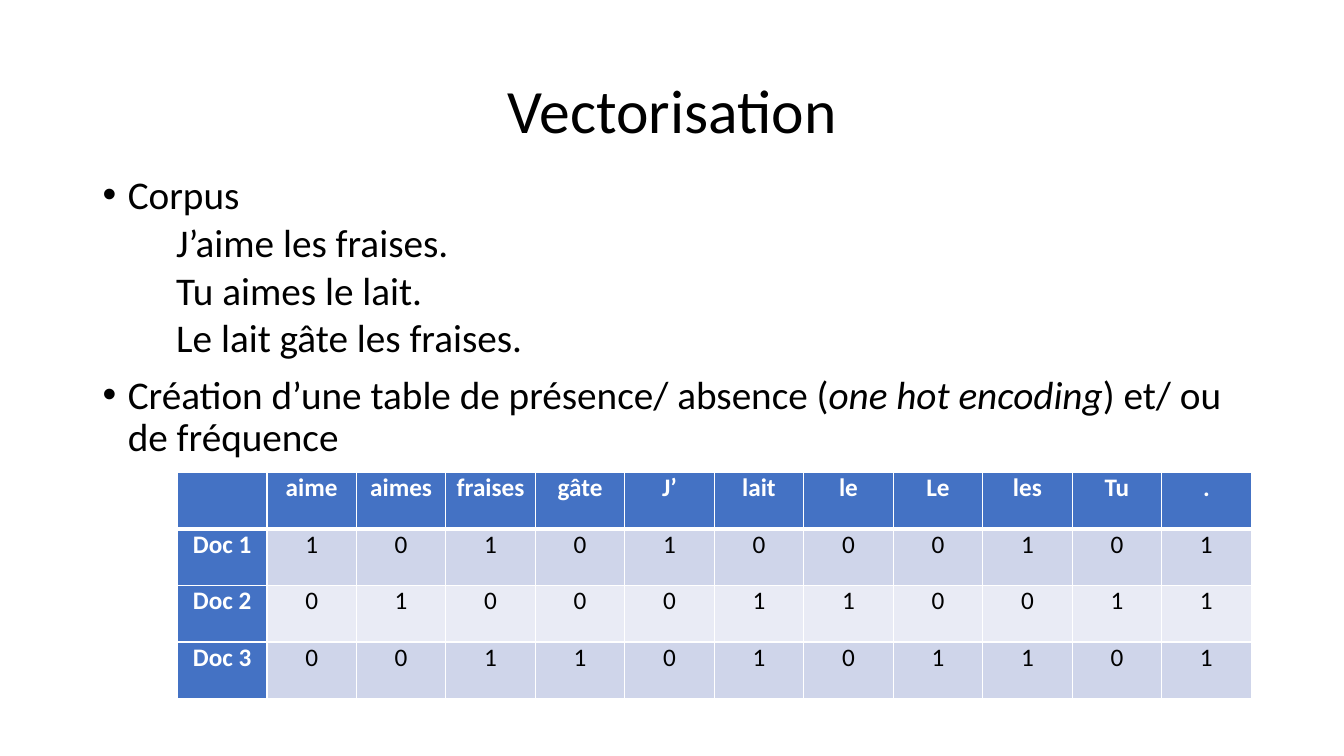
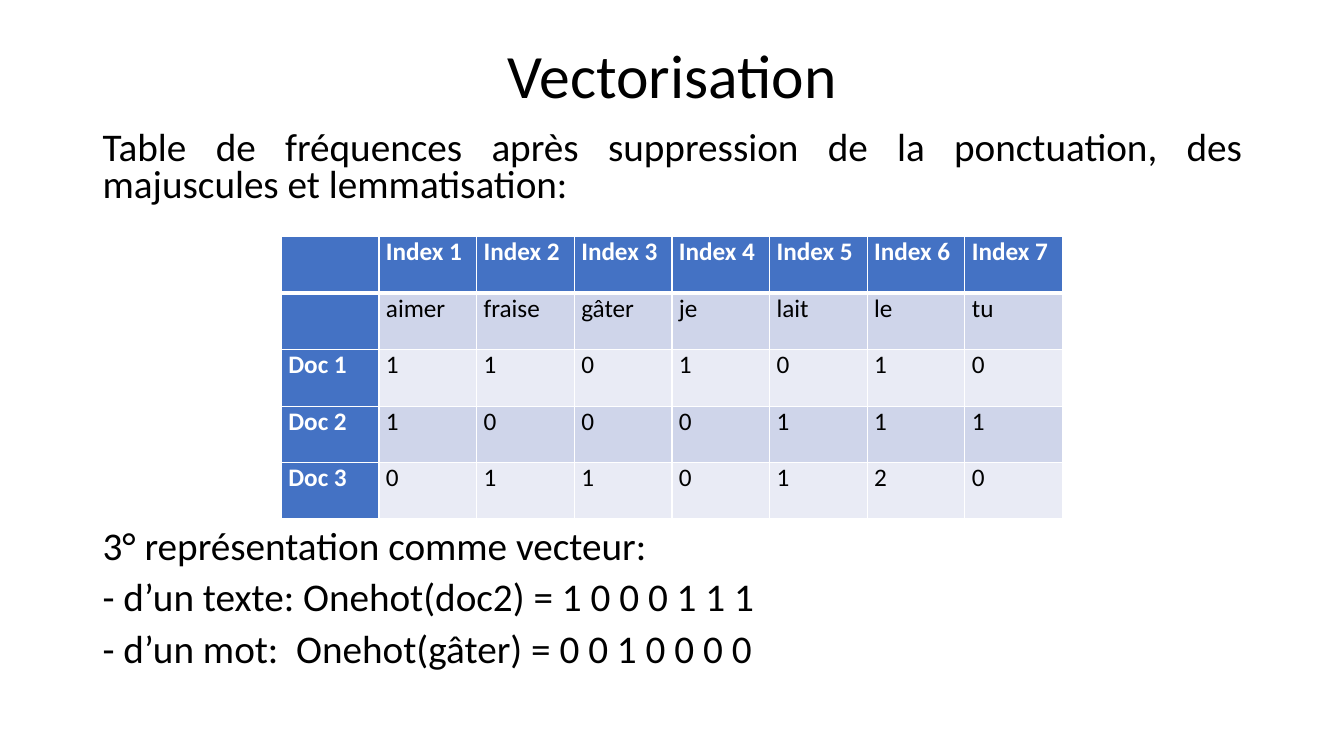
from lxml import etree
from pptx import Presentation
from pptx import util as u
from pptx.dml.color import RGBColor
from pptx.enum import text
from pptx.oxml.ns import qn

PX = 9144
BLUE, WHITE, BLACK = "4472C4", "FFFFFF", "000000"
BANDS = "CFD5EA", "E9EBF5"
CENTER, LEFT, JUSTIFY = text.PP_ALIGN.CENTER, text.PP_ALIGN.LEFT, text.PP_ALIGN.JUSTIFY


def px(n):
    return u.Emu(n * PX)


def color(value):
    return RGBColor.from_string(value)


def assign(obj, **values):
    for name, value in values.items():
        setattr(obj, name, value)


class Deck:
    font = "Calibri"
    title_size, body_size, cell_size = 44, 28, 18

    def __init__(self, width, height):
        self.prs = Presentation()
        assign(self.prs, slide_width=px(width), slide_height=px(height))

    def run(self, p, content, size, fill=BLACK, **values):
        r = p.add_run()
        r.text = content
        assign(r.font, name=self.font, size=u.Pt(size), **values)
        r.font.color.rgb = color(fill)

    def slide(self, title, y, h):
        self.s = self.prs.slides.add_slide(self.prs.slide_layouts[5])
        sp = self.s.shapes.title
        assign(sp, left=px(92), top=px(y), width=px(1150), height=px(h))
        tf = sp.text_frame
        assign(tf, word_wrap=True, auto_size=text.MSO_AUTO_SIZE.NONE,
               vertical_anchor=text.MSO_ANCHOR.MIDDLE)
        p = tf.paragraphs[0]
        assign(p, alignment=CENTER, line_spacing=0.9)
        self.run(p, title, self.title_size)

    def body(self, y, h):
        sp = self.s.shapes.add_textbox(px(92), px(y), px(1150), px(h))
        self.tf = sp.text_frame
        self.tf.word_wrap = True

    def para(self, *runs, spacing=0.9, before=10, align=LEFT, margin=0, bullet=False):
        p = self.tf.paragraphs[0]
        if p.runs:
            p = self.tf.add_paragraph()
        assign(p, alignment=align, line_spacing=spacing, space_before=u.Pt(before))
        pPr = p._p.get_or_add_pPr()
        pPr.set("marL", str(px(margin)))
        pPr.set("indent", str(px(-margin if bullet else 0)))
        if bullet:
            etree.SubElement(pPr, qn("a:buFont"), typeface="Arial")
            etree.SubElement(pPr, qn("a:buChar"), char="•")
        for i, content in enumerate(runs):
            self.run(p, content, self.body_size, italic=i % 2 == 1)

    def borders(self, cell, **widths):
        tcPr = cell._tc.get_or_add_tcPr()
        for side in "LRTB":
            ln = etree.SubElement(tcPr, qn("a:ln" + side), w=str(u.Pt(widths.get(side, 1))))
            fill = etree.SubElement(ln, qn("a:solidFill"))
            etree.SubElement(fill, qn("a:srgbClr"), val=WHITE)

    def table(self, x, y, w, row_h, lines, align):
        rows = [line.split("|") for line in lines]
        n = len(rows[0])
        table = self.s.shapes.add_table(len(rows), n, px(x), px(y), px(w),
                                        px(row_h * len(rows))).table
        table.horz_banding = False
        for col in table.columns:
            col.width = px(w) // n
        for i, row in enumerate(rows):
            table.rows[i].height = px(row_h)
            for j, content in enumerate(row):
                cell = table.cell(i, j)
                head = i == 0 or j == 0
                self.borders(cell, **{0: {"B": 3}, 1: {"T": 3}}.get(i, {}))
                cell.fill.solid()
                cell.fill.fore_color.rgb = color(BLUE if head else BANDS[(i - 1) % 2])
                assign(cell, margin_left=px(7), margin_right=px(7),
                       margin_top=0, margin_bottom=0)
                if content:
                    p = cell.text_frame.paragraphs[0]
                    p.alignment = align
                    self.run(p, content, self.cell_size, WHITE if head else BLACK, bold=head)


def main():
    deck = Deck(1333, 750)

    deck.slide("Vectorisation", 40, 145)
    deck.body(169, 300)
    deck.para("Corpus", margin=25, bullet=True)
    for sentence in ("J’aime les fraises.", "Tu aimes le lait.", "Le lait gâte les fraises."):
        deck.para(sentence, before=4, margin=73)
    deck.para("Création d’une table de présence/ absence (", "one hot encoding",
              ") et/ ou de fréquence", margin=25, bullet=True)
    deck.table(176, 469, 1065, 56, (
        "|aime|aimes|fraises|gâte|J’|lait|le|Le|les|Tu|.",
        "Doc 1|1|0|1|0|1|0|0|0|1|0|1",
        "Doc 2|0|1|0|0|0|1|1|0|0|1|1",
        "Doc 3|0|0|1|1|0|1|0|1|1|0|1"), CENTER)

    deck.slide("Vectorisation", 30, 95)
    deck.body(125, 100)
    deck.para("Table de fréquences après suppression de la ponctuation, "
              "des majuscules et lemmatisation:", spacing=0.8, align=JUSTIFY)
    deck.table(279, 235, 775, 56, (
        "|Index 1|Index 2|Index 3|Index 4|Index 5|Index 6|Index 7",
        "|aimer|fraise|gâter|je|lait|le|tu",
        "Doc 1|1|1|0|1|0|1|0",
        "Doc 2|1|0|0|0|1|1|1",
        "Doc 3|0|1|1|0|1|2|0"), LEFT)
    deck.body(521, 189)
    for line in ("3° représentation comme vecteur:",
                 "- d’un texte: Onehot(doc2) = 1 0 0 0 1 1 1",
                 "- d’un mot:  Onehot(gâter) = 0 0 1 0 0 0 0"):
        deck.para(line, spacing=0.8)

    deck.prs.save("out.pptx")


if __name__ == "__main__":
    main()
